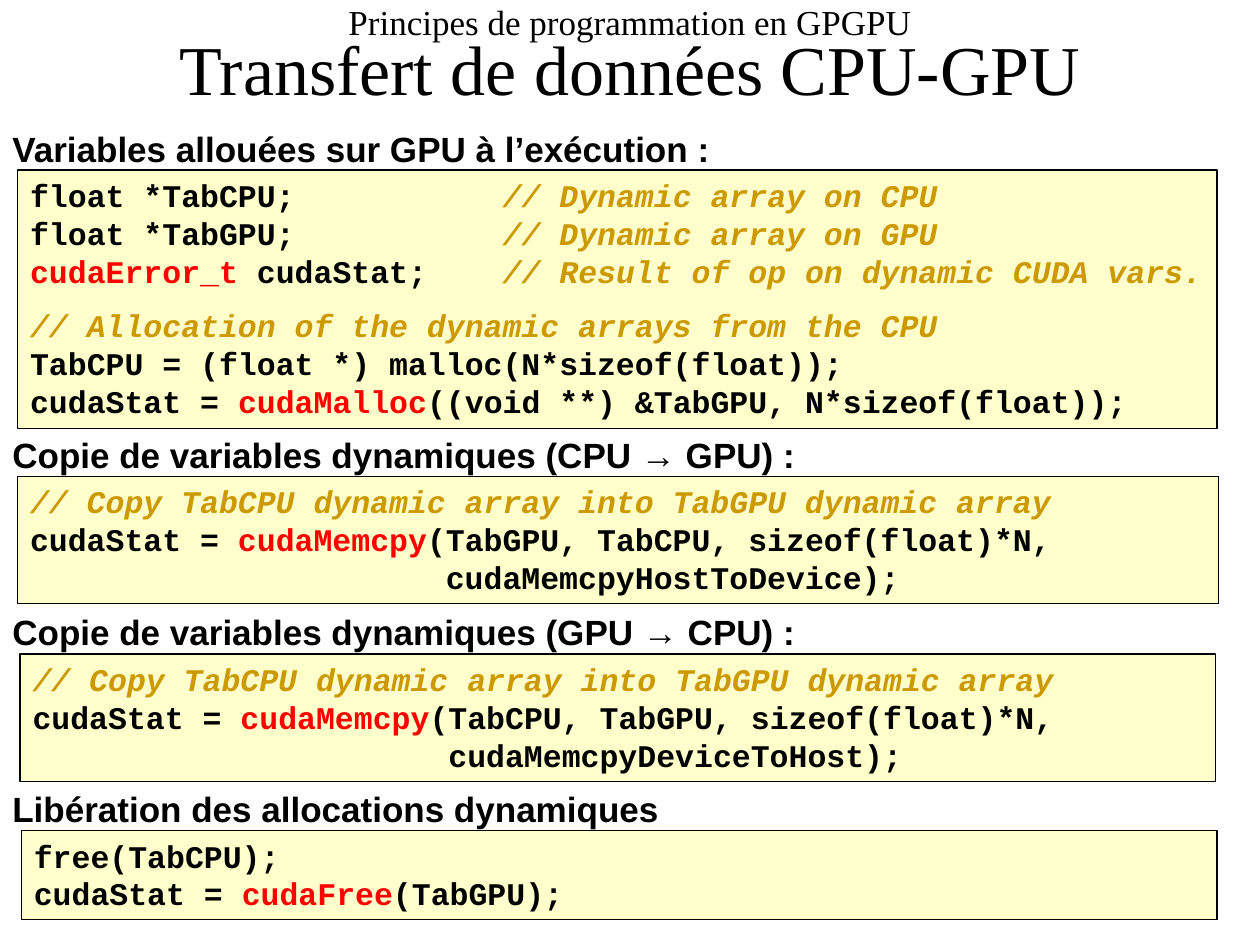
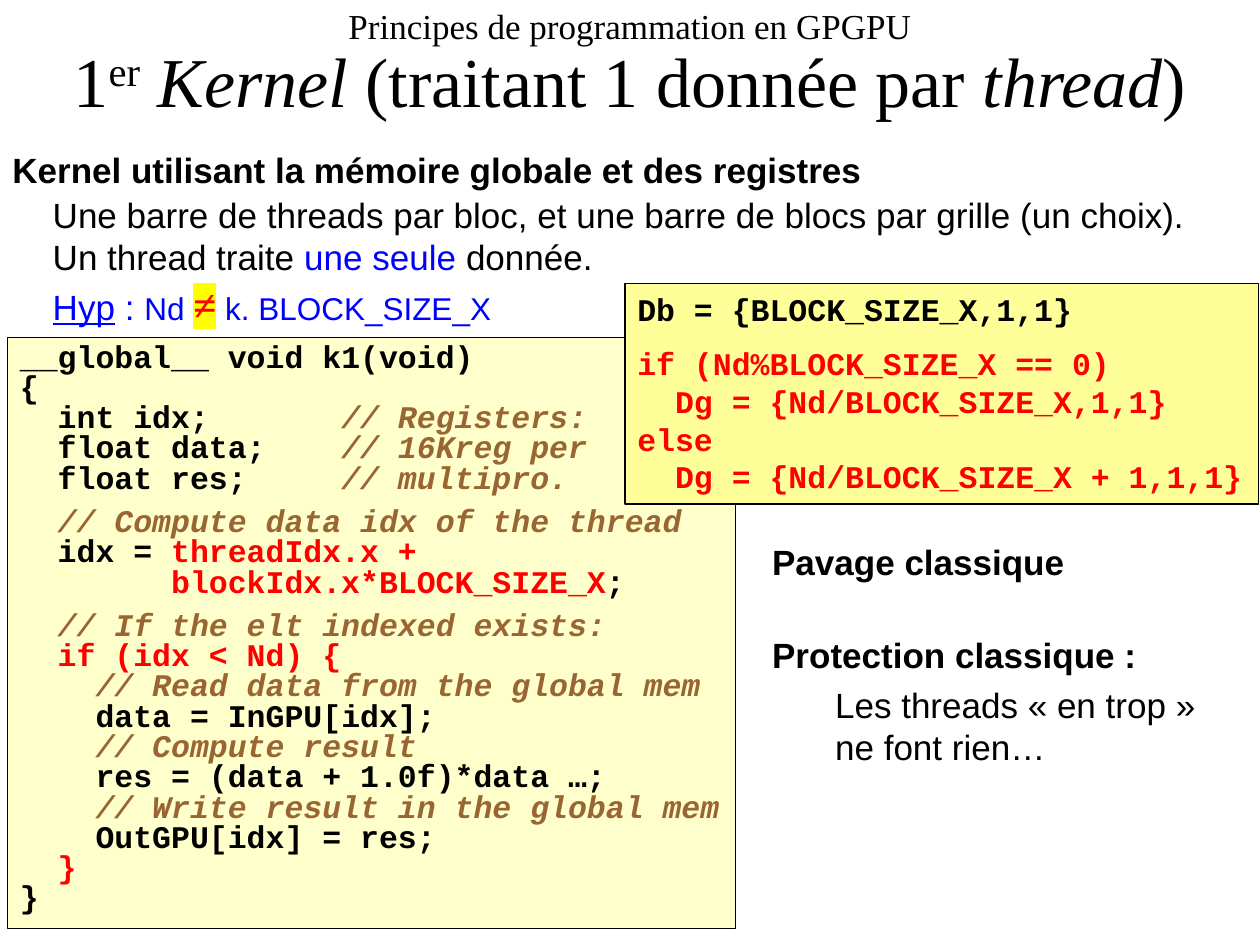
from collections import namedtuple

from lxml.etree import SubElement
from pptx import Presentation
from pptx.dml.color import RGBColor
from pptx.enum.shapes import MSO_SHAPE
from pptx.enum.text import MSO_ANCHOR, PP_ALIGN
from pptx.oxml.ns import qn
from pptx.util import Inches, Pt

BLACK = RGBColor(0x00, 0x00, 0x00)
RED = RGBColor(0xFF, 0x00, 0x00)
BLUE = RGBColor(0x00, 0x00, 0xFF)
YELLOW = RGBColor(0xFF, 0xFF, 0x00)
OCHRE = RGBColor(0xCC, 0x99, 0x00)
BROWN = RGBColor(0x99, 0x66, 0x33)
CREAM = RGBColor(0xFF, 0xFF, 0xCC)
PALE_YELLOW = RGBColor(0xFF, 0xFF, 0x99)

SANS, SERIF, MONO = "Arial", "Times New Roman", "Courier New"
CHAPTER = "Principes de programmation en GPGPU"
HEADING_HEIGHT = 0.44
HEADING_RISE = 0.39

Box = namedtuple("Box", "left top width height")

ALLOCATION_CODE = """\
float *TabCPU;           // Dynamic array on CPU
float *TabGPU;           // Dynamic array on GPU
cudaError_t cudaStat;    // Result of op on dynamic CUDA vars.

// Allocation of the dynamic arrays from the CPU
TabCPU = (float *) malloc(N*sizeof(float));
cudaStat = cudaMalloc((void **) &TabGPU, N*sizeof(float));"""

COPY_CODE = """\
// Copy TabCPU dynamic array into TabGPU dynamic array
cudaStat = cudaMemcpy({target}, {source}, sizeof(float)*N,
                      {direction});"""

RELEASE_CODE = """\
free(TabCPU);
cudaStat = cudaFree(TabGPU);"""

KERNEL_CODE = """\
__global__ void k1(void)
{
  int idx;       // Registers:
  float data;    // 16Kreg per
  float res;     // multipro.

  // Compute data idx of the thread
  idx = threadIdx.x +
        blockIdx.x*BLOCK_SIZE_X;

  // If the elt indexed exists:
  if (idx < Nd) {
    // Read data from the global mem
    data = InGPU[idx];
    // Compute result
    res = (data + 1.0f)*data …;
    // Write result in the global mem
    OutGPU[idx] = res;
  }
}"""

GRID_CODE = """\
Db = {BLOCK_SIZE_X,1,1}

if (Nd%BLOCK_SIZE_X == 0)
  Dg = {Nd/BLOCK_SIZE_X,1,1}
else
  Dg = {Nd/BLOCK_SIZE_X + 1,1,1}"""

API_TERMS = ("cudaError_t", "cudaMalloc", "cudaMemcpy(", "cudaFree")
KERNEL_TERMS = ("threadIdx.x +", "blockIdx.x*BLOCK_SIZE_X", "if (idx < Nd) {", "  }")
GRID_TERMS = tuple(GRID_CODE.splitlines()[2:])


def write_run(paragraph, text, font=SANS, size=20, color=BLACK, bold=False,
              italic=False, underline=False, raised=False, highlight=None):
    """Add one formatted run to a paragraph."""
    run = paragraph.add_run()
    run.text = text
    run.font.name = font
    run.font.size = Pt(size)
    run.font.color.rgb = color
    run.font.bold = bold
    run.font.italic = italic
    run.font.underline = underline
    properties = run.font._element
    if raised:
        properties.set("baseline", "30000")
    if highlight is not None:
        marker = SubElement(properties, qn("a:highlight"))
        SubElement(marker, qn("a:srgbClr")).set("val", str(highlight))
        properties.find(qn("a:latin")).addprevious(marker)


def write_paragraph(frame, runs, first=False, spacing=None, before=0, indent=0,
                    align=PP_ALIGN.LEFT, **style):
    """Write (text, format) runs as one paragraph; None stands for a line break."""
    paragraph = frame.paragraphs[0] if first else frame.add_paragraph()
    paragraph.alignment = align
    paragraph.space_before = Pt(before)
    if spacing:
        paragraph.line_spacing = spacing
    if indent:
        paragraph._p.get_or_add_pPr().set("marL", str(Inches(indent)))
    for run in runs:
        if run is None:
            paragraph.add_line_break()
        else:
            text, changes = run
            write_run(paragraph, text, **{**style, **changes})


def add_text_box(slide, box, wrap=False, anchor=MSO_ANCHOR.TOP):
    """Add an empty text box and return its text frame."""
    frame = slide.shapes.add_textbox(*map(Inches, box)).text_frame
    frame.word_wrap = wrap
    frame.vertical_anchor = anchor
    return frame


def add_title(slide, height, spacing, runs):
    """Add the chapter name above the slide's title."""
    frame = add_text_box(slide, Box(0, 0, 10, height), True, MSO_ANCHOR.MIDDLE)
    write_paragraph(frame, [(CHAPTER, {"size": 20}), None, *runs], first=True,
                    spacing=spacing, align=PP_ALIGN.CENTER, font=SERIF, size=40)


def add_heading(slide, box, text, wrap=False):
    """Add a bold heading and return its text frame."""
    frame = add_text_box(slide, box, wrap)
    write_paragraph(frame, [(text, {"bold": True})], first=True)
    return frame


def color_code(line, terms, comment_color):
    """Split a line of code into plain, key and comment runs."""
    code, slashes, comment = line.partition("//")
    term = next((term for term in terms if term in code), None)
    if term:
        key = term.rstrip("(")
        before, _, after = code.partition(key)
        parts = [(before, {}), (key, {"color": RED}), (after, {})]
    else:
        parts = [(code, {})]
    parts.append((slashes + comment, {"color": comment_color, "italic": True}))
    return [part for part in parts if part[0]]


def add_code_panel(slide, box, code, terms, comment_color=OCHRE, fill=CREAM,
                   wrap=True, spacing=None, gap=9.4):
    """Add a framed panel of coloured code; blank lines become gaps."""
    panel = slide.shapes.add_shape(MSO_SHAPE.RECTANGLE, *map(Inches, box))
    panel.shadow.inherit = False
    panel.fill.solid()
    panel.fill.fore_color.rgb = fill
    panel.line.color.rgb = BLACK
    panel.line.width = Pt(0.75)
    frame = panel.text_frame
    frame.word_wrap = wrap
    frame.vertical_anchor = MSO_ANCHOR.TOP
    before = 0
    for index, line in enumerate(code.splitlines()):
        if not line:
            before = gap
            continue
        write_paragraph(frame, color_code(line, terms, comment_color),
                        first=index == 0, before=before, spacing=spacing,
                        font=MONO, size=18, bold=True)
        before = 0


def add_code_section(slide, box, heading, heading_width, code):
    """Add a code panel with its heading just above it."""
    heading_box = Box(0, box.top - HEADING_RISE, heading_width, HEADING_HEIGHT)
    add_heading(slide, heading_box, heading)
    add_code_panel(slide, box, code, API_TERMS)


def add_introduction(slide, box):
    """Add the lines on thread layout and the size hypothesis."""
    frame = add_text_box(slide, box)
    write_paragraph(frame, [(
        "Une barre de threads par bloc, et une barre de blocs par grille (un choix).",
        {})], first=True)
    write_paragraph(frame, [("Un thread traite ", {}), ("une seule ", {"color": BLUE}),
                            ("donnée.", {})])
    write_paragraph(frame, [
        ("Hyp", {"underline": True}), (" : ", {}), ("Nd ", {"size": 18}),
        ("≠", {"size": 24, "font": SERIF, "color": RED, "bold": True,
               "highlight": YELLOW}),
        (" k. BLOCK_SIZE_X", {"size": 18})], color=BLUE)


def add_remarks(slide, box):
    """Add the remarks on tiling and on protection."""
    add_heading(slide, Box(box.left, box.top, box.width, HEADING_HEIGHT),
                "Pavage classique", True)
    frame = add_heading(slide, Box(box.left, box.top + 0.74, box.width, 1.19),
                        "Protection classique :", True)
    write_paragraph(frame, [("Les threads « en trop » ne font rien…", {})],
                    before=4.6, indent=0.5)


def build_transfer_slide(slide):
    """Build the slide on transfers between CPU and GPU."""
    add_title(slide, 0.93, 0.8, [("Transfert de données CPU-GPU", {})])
    to_device = COPY_CODE.format(target="TabGPU", source="TabCPU",
                                 direction="cudaMemcpyHostToDevice")
    to_host = COPY_CODE.format(target="TabCPU", source="TabGPU",
                               direction="cudaMemcpyDeviceToHost")
    sections = [
        (Box(0.14, 1.35, 9.52, 2.05), "Variables allouées sur GPU à l’exécution :",
         5.85, ALLOCATION_CODE),
        (Box(0.14, 3.78, 9.53, 1.01), "Copie de variables dynamiques (CPU → GPU) :",
         6.46, to_device),
        (Box(0.16, 5.19, 9.49, 1.01), "Copie de variables dynamiques (GPU → CPU) :",
         6.46, to_host),
        (Box(0.17, 6.59, 9.49, 0.71), "Libération des allocations dynamiques",
         5.37, RELEASE_CODE),
    ]
    for section in sections:
        add_code_section(slide, *section)


def build_kernel_slide(slide):
    """Build the slide on the first kernel."""
    add_code_panel(slide, Box(0.06, 2.68, 5.78, 4.69), KERNEL_CODE, KERNEL_TERMS,
                   comment_color=BROWN, wrap=False, spacing=0.8, gap=7.5)
    italic = {"italic": True}
    add_title(slide, 1.04, 0.9, [
        ("1", {}), ("er", {"raised": True}), (" ", {}), ("Kernel", italic),
        (" (traitant 1 donnée par ", {}), ("thread", italic), (")", {})])
    add_heading(slide, Box(0, 1.13, 6.99, HEADING_HEIGHT),
                "Kernel utilisant la mémoire globale et des registres")
    add_introduction(slide, Box(0.32, 1.49, 9.25, 1.18))
    add_code_panel(slide, Box(4.96, 2.25, 5.03, 1.75), GRID_CODE, GRID_TERMS,
                   fill=PALE_YELLOW, wrap=False)
    add_remarks(slide, Box(6.03, 4.24, 3.7, 1.93))


def main():
    """Build and save the presentation."""
    presentation = Presentation()
    presentation.slide_width = Inches(10)
    presentation.slide_height = Inches(7.5)
    for build_slide in (build_transfer_slide, build_kernel_slide):
        build_slide(presentation.slides.add_slide(presentation.slide_layouts[6]))
    presentation.save("out.pptx")


if __name__ == "__main__":
    main()
